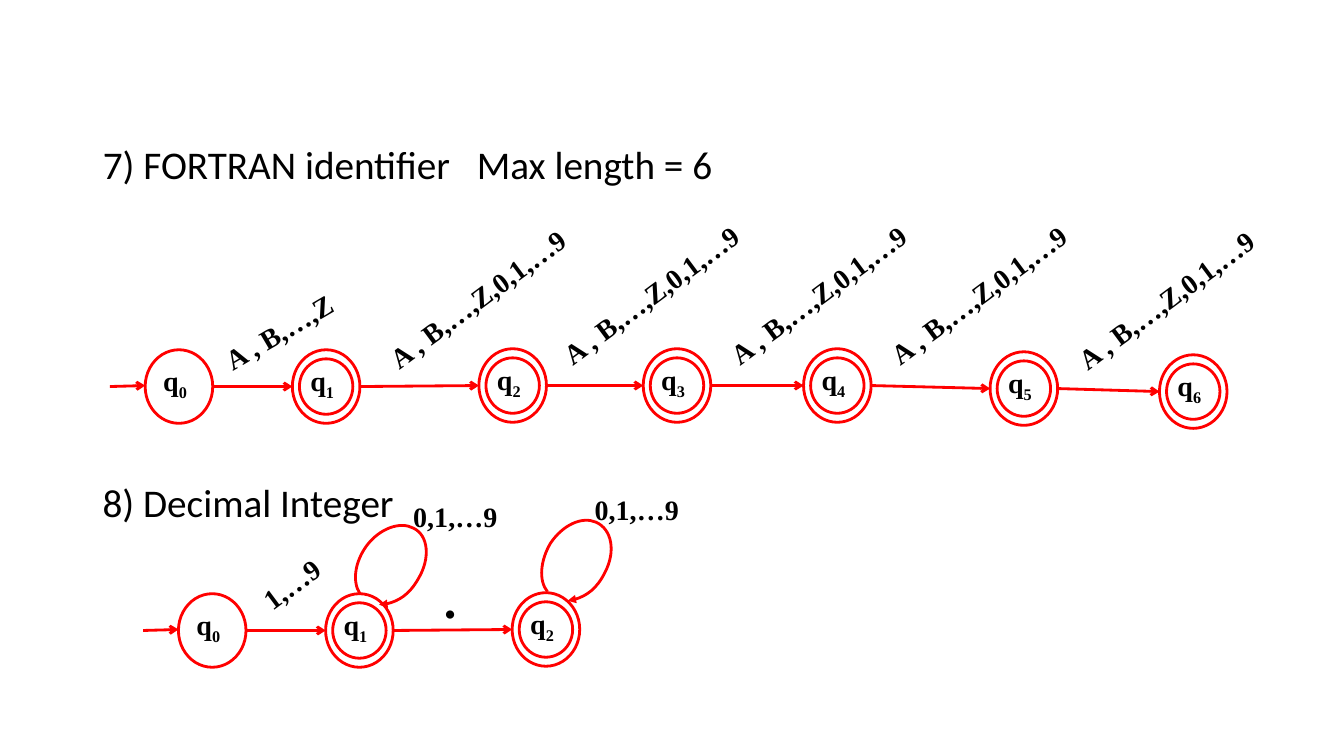
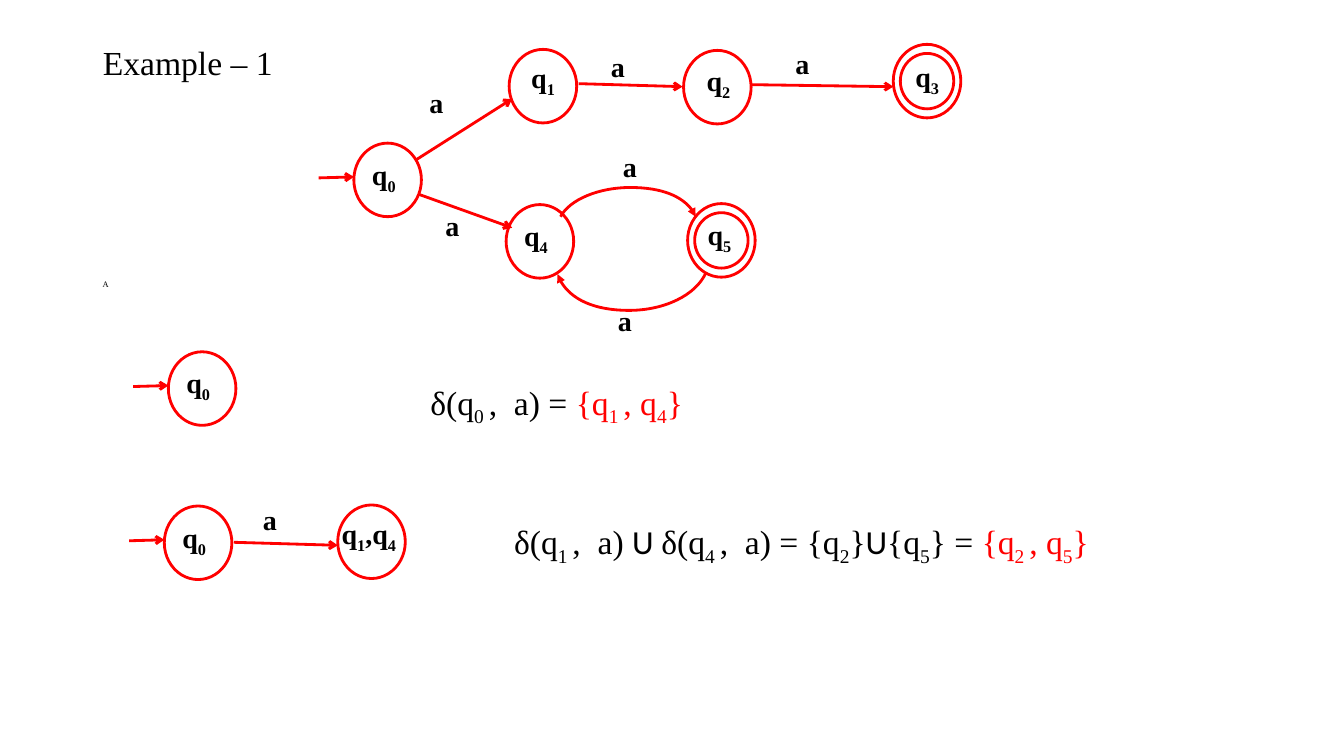
from lxml.etree import SubElement
from pptx import Presentation
from pptx.dml.color import RGBColor
from pptx.enum.shapes import MSO_CONNECTOR, MSO_SHAPE
from pptx.enum.text import MSO_ANCHOR, MSO_AUTO_SIZE, PP_ALIGN
from pptx.oxml.ns import qn
from pptx.util import Inches, Pt

RED = RGBColor(0xFF, 0x00, 0x00)
BLACK = RGBColor(0x00, 0x00, 0x00)
SERIF = "Times New Roman"
SANS = "Calibri"
STATE_WIDTH, STATE_HEIGHT = 0.67, 0.73
RING_X, RING_Y = 0.07, 0.09
LABEL_ANGLE = -36.6
LETTER_SIZE = (0.37, 0.34)


def style_paragraph(paragraph, size, font=SERIF, bold=False):
    """Give a paragraph its font and left alignment."""
    paragraph.alignment = PP_ALIGN.LEFT
    paragraph.font.size = Pt(size)
    paragraph.font.name = font
    paragraph.font.bold = bold
    paragraph.font.color.rgb = BLACK


def add_runs(paragraph, text, color=None, font=None):
    """Add runs, with the parts between underscores as subscripts."""
    for index, part in enumerate(text.split("_")):
        if not part:
            continue
        run = paragraph.add_run()
        run.text = part
        if color is not None:
            run.font.color.rgb = color
        if font is not None:
            run.font.name = font
        if index % 2:
            run._r.get_or_add_rPr().set("baseline", "-25000")


def add_title(slide, text, top, size, font, tab=None):
    """Place and format the title placeholder."""
    title = slide.shapes.title
    title.left, title.top = Inches(0.92), Inches(top)
    title.width, title.height = Inches(11.5), Inches(0.56)
    frame = title.text_frame
    frame.text = text
    frame.auto_size = MSO_AUTO_SIZE.NONE
    frame.vertical_anchor = MSO_ANCHOR.TOP
    paragraph = frame.paragraphs[0]
    if tab is not None:
        tabs = SubElement(paragraph._p.get_or_add_pPr(), qn("a:tabLst"))
        SubElement(tabs, qn("a:tab"), pos=str(Inches(tab)), algn="l")
    style_paragraph(paragraph, size, font)


def add_text(slide, left, top, width, height, pieces, size=20, font=SERIF, bold=True, angle=0):
    """Add a one-line text box from (text, colour, font) pieces."""
    box = slide.shapes.add_textbox(Inches(left), Inches(top), Inches(width), Inches(height))
    box.rotation = angle
    box.text_frame.word_wrap = True
    paragraph = box.text_frame.paragraphs[0]
    style_paragraph(paragraph, size, font, bold)
    for piece in pieces:
        add_runs(paragraph, *piece)


def add_letter(slide, left, top):
    """Label a transition with the input letter a."""
    add_text(slide, left, top, *LETTER_SIZE, [("a",)])


def style_outline(shape):
    """Give a shape a red outline without fill or shadow."""
    shape.shadow.inherit = False
    shape.fill.background()
    shape.line.color.rgb = RED
    shape.line.width = Pt(2)


def add_arrowhead(shape, kind):
    """End the line of a shape with an arrowhead."""
    SubElement(shape._element.spPr.find(qn("a:ln")), qn("a:tailEnd"), type=kind)


def add_arrow(slide, start, end):
    """Draw a straight transition between two points."""
    points = [Inches(value) for value in (*start, *end)]
    connector = slide.shapes.add_connector(MSO_CONNECTOR.STRAIGHT, *points)
    connector.line.color.rgb = RED
    connector.line.width = Pt(2)
    add_arrowhead(connector, "arrow")
    SubElement(connector._element.spPr, qn("a:effectLst"))


def add_curve(slide, start, *points):
    """Draw a curved transition; each three points make one Bezier segment."""
    vertices = [(Inches(x), Inches(y)) for x, y in points]
    builder = slide.shapes.build_freeform(Inches(start[0]), Inches(start[1]))
    builder.add_line_segments(vertices, close=False)
    shape = builder.convert_to_shape()
    path = next(shape._element.iter(qn("a:path")))
    path.set("fill", "none")
    segments = path.findall(qn("a:lnTo"))
    for index in range(0, len(segments), 3):
        curve = SubElement(path, qn("a:cubicBezTo"))
        for segment in segments[index:index + 3]:
            curve.append(segment[0])
            path.remove(segment)
    style_outline(shape)
    add_arrowhead(shape, "triangle")


def add_ellipse(slide, left, top, width, height):
    """Draw one red ring."""
    ring = slide.shapes.add_shape(
        MSO_SHAPE.OVAL, Inches(left), Inches(top), Inches(width), Inches(height))
    style_outline(ring)


def add_state(slide, left, top, name, final=False, offset=(0.08, 0.09), label_width=0.68):
    """Draw a named state, with a second ring if it is final."""
    add_ellipse(slide, left, top, STATE_WIDTH, STATE_HEIGHT)
    if final:
        add_ellipse(slide, left + RING_X, top + RING_Y,
                    STATE_WIDTH - 2 * RING_X, STATE_HEIGHT - 2 * RING_Y)
    add_text(slide, left + offset[0], top + offset[1], label_width, 0.52, [(name,)])


def add_start_arrow(slide, left, top):
    """Draw the arrow that enters the initial state at left, top."""
    middle = top + STATE_HEIGHT / 2
    add_arrow(slide, (left - 0.35, middle), (left, middle - 0.01))


def add_chain(slide, positions):
    """Draw q0, then final states, joined by arrows from left to right."""
    add_start_arrow(slide, *positions[0])
    for index, (left, top) in enumerate(positions):
        add_state(slide, left, top, f"q_{index}_", final=index > 0)
    for (left, top), (next_left, next_top) in zip(positions, positions[1:]):
        add_arrow(slide, (left + STATE_WIDTH, top + STATE_HEIGHT / 2),
                  (next_left, next_top + STATE_HEIGHT / 2))


def build_identifier_slide(presentation):
    """Build the automata for identifiers and decimal integers."""
    slide = presentation.slides.add_slide(presentation.slide_layouts[5])
    add_title(slide, "7) FORTRAN identifier\tMax length = 6", 1.34, 28, SANS, tab=3.71)
    add_text(slide, 0.92, 4.7, 4, 0.56, [("8) Decimal Integer",)], 28, SANS, False)

    add_chain(slide, [(1.44, 3.47), (2.9, 3.47), (4.75, 3.46), (6.38, 3.46),
                      (7.97, 3.46), (9.82, 3.49), (11.5, 3.52)])
    add_text(slide, 2.09, 3.07, 1.39, 0.5, [("A , B,…,Z",)], angle=-30.4)
    for left, top in [(3.6, 2.71), (5.32, 2.67), (6.98, 2.67), (8.57, 2.67), (10.43, 2.72)]:
        add_text(slide, left, top, 2.39, 0.5, [("A , B,…,Z,0,1,…9",)], angle=LABEL_ANGLE)

    add_chain(slide, [(1.77, 5.89), (3.23, 5.89), (5.08, 5.88)])
    add_text(slide, 2.49, 5.55, 0.89, 0.5, [("1,…9",)], angle=LABEL_ANGLE)
    add_text(slide, 4.15, 5.63, 0.34, 0.5, [(".",)], size=36, angle=LABEL_ANGLE)
    for left, top in [(4, 4.91), (5.8, 4.84)]:
        add_text(slide, left, top, 1.19, 0.53, [("0,1,…9",)])
    add_curve(slide, (3.57, 5.89), (3.49, 5.77), (3.52, 5.57), (3.64, 5.41),
              (3.77, 5.24), (3.97, 5.17), (4.1, 5.24), (4.25, 5.31), (4.27, 5.54),
              (4.15, 5.74), (4.06, 5.9), (3.9, 6), (3.76, 6))
    add_curve(slide, (5.43, 5.87), (5.34, 5.76), (5.36, 5.56), (5.46, 5.39),
              (5.58, 5.21), (5.77, 5.12), (5.91, 5.18), (6.07, 5.25), (6.11, 5.47),
              (6, 5.68), (5.92, 5.84), (5.77, 5.95), (5.63, 5.96))


def build_example_slide(presentation):
    """Build the example automaton and the first steps of its subsets."""
    slide = presentation.slides.add_slide(presentation.slide_layouts[5])
    add_title(slide, "Example – 1", 0.37, 24, SERIF)
    add_text(slide, 0.92, 2.72, 0.4, 0.2, [("A",)], size=6, bold=False)

    for left, top in [(3.51, 1.42), (1.67, 3.49), (1.63, 5.02)]:
        add_state(slide, left, top, "q_0_")
        add_start_arrow(slide, left, top - 0.02)
    add_state(slide, 5.05, 0.49, "q_1_", offset=(0.12, 0.06))
    add_state(slide, 6.78, 0.5, "q_2_", offset=(0.13, 0.08))
    add_state(slide, 8.86, 0.44, "q_3_", final=True, offset=(0.12, 0.1))
    add_state(slide, 5.02, 2.03, "q_4_")
    add_state(slide, 6.82, 2.02, "q_5_", final=True, offset=(0.1, 0.09))
    add_state(slide, 3.35, 5.01, "q_1_,q_4_", offset=(-0.06, 0.06), label_width=0.84)

    for start, end in [((4.12, 1.59), (5.08, 0.98)), ((4.16, 1.93), (5.08, 2.26)),
                       ((5.74, 0.83), (6.77, 0.86)), ((7.44, 0.84), (8.86, 0.86)),
                       ((2.32, 5.38), (3.35, 5.41))]:
        add_arrow(slide, start, end)
    add_curve(slide, (5.56, 2.15), (5.65, 1.98), (5.94, 1.86), (6.25, 1.86),
              (6.57, 1.86), (6.84, 1.98), (6.9, 2.15))
    add_curve(slide, (7, 2.71), (6.9, 2.93), (6.59, 3.08), (6.24, 3.08),
              (5.89, 3.08), (5.6, 2.94), (5.53, 2.72))
    for left, top in [(4.16, 0.8), (4.32, 2.02), (5.96, 0.44), (7.79, 0.41),
                      (6.08, 1.43), (6.03, 2.96), (2.51, 4.94)]:
        add_letter(slide, left, top)

    add_text(slide, 4.17, 3.74, 4, 0.5,
             [("δ(q_0 _,  a) = ",), ("{q_1 _, q_4_}", RED)], size=24, bold=False)
    add_text(slide, 5, 5.12, 7, 0.5,
             [("δ(q_1 _,  a) ",), ("U ", None, SANS), ("δ(q_4 _,  a) = {q_2_}",),
              ("U", None, SANS), ("{q_5_} = ",), ("{q_2 _, q_5_}", RED)],
             size=24, bold=False)


def main():
    """Build and save the presentation."""
    presentation = Presentation()
    presentation.slide_width, presentation.slide_height = Inches(13.33), Inches(7.5)
    build_identifier_slide(presentation)
    build_example_slide(presentation)
    presentation.save("out.pptx")


if __name__ == "__main__":
    main()
